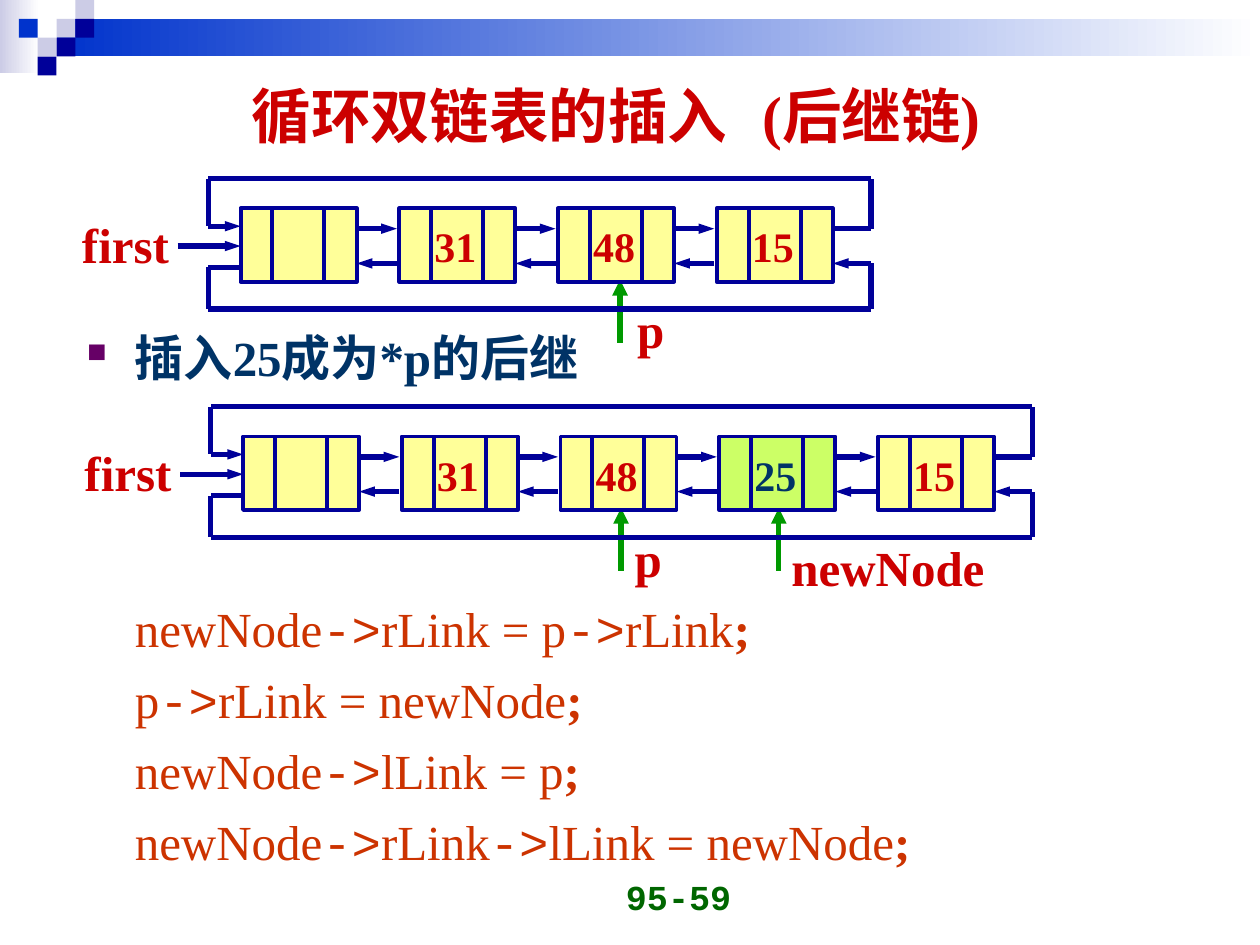
from lxml.etree import SubElement as Sub
from pptx import Presentation
from pptx.dml.color import RGBColor as RGB
from pptx.enum.shapes import MSO_CONNECTOR as CONN, MSO_SHAPE as SHAPE
from pptx.enum.text import MSO_ANCHOR as ANCHOR, PP_ALIGN as ALIGN
from pptx.oxml.ns import qn
from pptx.util import Cm, Pt

HUES = {
    "navy": "000099", "blue": "0033CC", "pale": "CCCCE6", "white": "FFFFFF",
    "yellow": "FFFF99", "lime": "CCFF66", "red": "CC0000", "ink": "003366",
    "green": "009900", "dark": "006600", "code": "CC3300", "plum": "660066",
}
SERIF, MONO = "Times New Roman", "Courier New"

# All positions below are in centimetres
NODE_W, NODE_H, PITCH = 2.34, 1.48, 3.2
NEXT_Y, BACK_Y = 0.41, 1.11


def hue(name):
    return RGB.from_string(HUES[name])


def style(run, size, color, bold=True, face=SERIF):
    font = run.font
    font.size, font.bold, font.name = Pt(size), bold, face
    font.color.rgb = hue(color)
    # Chinese glyphs follow the plain, serif-free face
    Sub(run._r.get_or_add_rPr(), qn("a:ea")).set("typeface", MONO)


def add_rect(slide, x, y, w, h, fill, fade=False, edge=None):
    rect = slide.shapes.add_shape(SHAPE.RECTANGLE, Cm(x), Cm(y), Cm(w), Cm(h))
    rect.shadow.inherit = False
    if fade:
        rect.fill.gradient()
        rect.fill.gradient_angle = 0
        for stop, color in zip(rect.fill.gradient_stops, (fill, "white")):
            stop.color.rgb = hue(color)
    else:
        rect.fill.solid()
        rect.fill.fore_color.rgb = hue(fill)
    if edge:
        rect.line.color.rgb, rect.line.width = hue(edge), Pt(2.25)
    else:
        rect.line.fill.background()


def add_line(slide, start, end, color="navy", width=3, arrow=None):
    """Draw a line; arrow is the width of its head, "sm" or "med"."""
    line = slide.shapes.add_connector(
        CONN.STRAIGHT, *(Cm(v) for v in (*start, *end)))
    line.line.color.rgb, line.line.width = hue(color), Pt(width)
    if arrow:
        tip = Sub(line.line._get_or_add_ln(), qn("a:tailEnd"))
        tip.set("type", "triangle")
        tip.set("w", arrow)
    Sub(line._element.spPr, qn("a:effectLst"))


def add_path(slide, points):
    """Draw a bent line with an arrowhead on its last leg."""
    for i, (start, end) in enumerate(zip(points, points[1:]), 2):
        add_line(slide, start, end, arrow="sm" if i == len(points) else None)


def add_box(slide, x, y, w, h, anchor=ANCHOR.MIDDLE, wrap=True):
    frame = slide.shapes.add_textbox(Cm(x), Cm(y), Cm(w), Cm(h)).text_frame
    frame.word_wrap, frame.vertical_anchor = wrap, anchor
    return frame


def add_label(slide, mid, text, size, color="red", w=3):
    """Centre one line of text on the point mid."""
    h = size * 0.05
    frame = add_box(slide, mid[0] - w / 2, mid[1] - h / 2, w, h, wrap=False)
    frame.text = text
    para = frame.paragraphs[0]
    para.alignment = ALIGN.CENTER
    style(para.runs[0], size, color)


def add_banner(slide, x, y):
    add_rect(slide, x, y, 0.79, 1.47, "pale", fade=True)
    add_rect(slide, x + 1.14, y + 0.38, 24.26, 0.76, "blue", fade=True)
    # Mosaic on a square grid: column, row, colour
    cell = 0.38
    for col, row, color in [(3, 1, "pale"), (4, 0, "pale"), (4, 1, "navy"),
                            (2, 2, "pale"), (1, 1, "blue"), (3, 2, "navy"),
                            (2, 3, "navy")]:
        add_rect(slide, x + col * cell, y + row * cell, cell, cell, color)


def add_node(slide, x, y, value, fresh):
    add_rect(slide, x, y, NODE_W, NODE_H, "lime" if fresh else "yellow",
             edge="navy")
    for dx in (0.64, 1.69):
        add_line(slide, (x + dx, y), (x + dx, y + NODE_H), width=2.25)
    if value:
        add_label(slide, (x + NODE_W / 2 - 0.04, y + NODE_H / 2 + 0.02), value,
                  24, "ink" if fresh else "red", 1.5)


def add_ring(slide, x, y, values, fresh=None):
    """Circular doubly linked list; x, y is the corner of its head node."""
    last = len(values) - 1
    for i, value in enumerate(values):
        left = x + i * PITCH
        right = left + NODE_W
        add_node(slide, left, y, value, value == fresh)
        if i < last:
            stop = left + PITCH - 0.05
            add_line(slide, (right, y + NEXT_Y), (stop, y + NEXT_Y), arrow="sm")
            add_line(slide, (stop, y + BACK_Y), (right, y + BACK_Y), arrow="sm")
    # Loops that close the ring above and below
    near, far = x - 0.65, right + 0.77
    top, low = y - 0.6, y + 2.03
    add_path(slide, [(right, y + NEXT_Y), (far, y + NEXT_Y), (far, top),
                     (near, top), (near, y + 0.36), (x, y + 0.36)])
    add_path(slide, [(x, y + 1.19), (near, y + 1.19), (near, low), (far, low),
                     (far, y + BACK_Y), (right, y + BACK_Y)])
    # Entry pointer
    add_line(slide, (x - 1.27, y + 0.76), (x, y + 0.76), arrow="sm")
    add_label(slide, (x - 2.32, y + 0.72), "first", 28)


def add_pointer(slide, x, y, name, dx, dy):
    add_line(slide, (x, y + 1.27), (x, y), "green", arrow="med")
    add_label(slide, (x + dx, y + dy), name, 28, w=4.8 if len(name) > 1 else 1.2)


def add_title(slide, x, y, w, h):
    frame = add_box(slide, x, y, w, h)
    frame.text = "循环双链表的插入 (后继链)"
    frame.paragraphs[0].alignment = ALIGN.CENTER
    style(frame.paragraphs[0].runs[0], 34, "red")


def add_body(slide, x, y, w, h):
    frame = add_box(slide, x, y, w, h, ANCHOR.TOP)
    lines = ["newNode->rLink = p->rLink;", "p->rLink = newNode;",
             "newNode->lLink = p;", "newNode->rLink->lLink = newNode;"]
    frame.text = "\n".join(["插入25成为*p的后继"] + lines)
    for para in frame.paragraphs:
        para.line_spacing = 1.05
        para._p.get_or_add_pPr().set("marL", str(Cm(0.97)))
    # Bulleted heading
    head, *rows = frame.paragraphs
    props = head._p.pPr
    props.set("indent", str(-Cm(0.97)))
    Sub(Sub(props, qn("a:buClr")), qn("a:srgbClr")).set("val", HUES["plum"])
    Sub(props, qn("a:buSzPct")).set("val", "55000")
    Sub(props, qn("a:buChar")).set("char", "■")
    style(head.runs[0], 28, "ink")
    # Code lines, the first one below the second list
    for i, (para, line) in enumerate(zip(rows, lines)):
        para.space_before = Pt(5.2 if i else 120)
        para._p.remove(para.runs[0]._r)
        for part in line.replace("->", "|->|").replace(";", "|;").split("|"):
            run = para.add_run()
            run.text = part
            style(run, 28, "code", part == ";", MONO if part == "->" else SERIF)


def add_number(slide, x, y, w, h):
    frame = add_box(slide, x, y, w, h, ANCHOR.BOTTOM)
    frame.text = "95-59"
    frame.paragraphs[0].alignment = ALIGN.RIGHT
    style(frame.paragraphs[0].runs[0], 20, "dark", face=MONO)


def main():
    deck = Presentation()
    deck.slide_width, deck.slide_height = Cm(25.4), Cm(19.05)
    slide = deck.slides.add_slide(deck.slide_layouts[6])
    add_banner(slide, 0, 0)
    add_number(slide, 9.07, 17.35, 5.92, 1.27)
    add_title(slide, 0.99, 1.02, 22.86, 2.59)
    add_body(slide, 1.5, 6.41, 22.86, 11.6)
    # List before the insertion
    add_pointer(slide, 12.5, 5.64, "p", 0.62, 1)
    add_ring(slide, 4.85, 4.2, ["", "31", "48", "15"])
    # List after the insertion
    add_pointer(slide, 12.52, 10.24, "p", 0.55, 1)
    add_pointer(slide, 15.7, 10.24, "newNode", 2.2, 1.18)
    add_ring(slide, 4.9, 8.8, ["", "31", "48", "25", "15"], fresh="25")
    deck.save("out.pptx")


if __name__ == "__main__":
    main()
